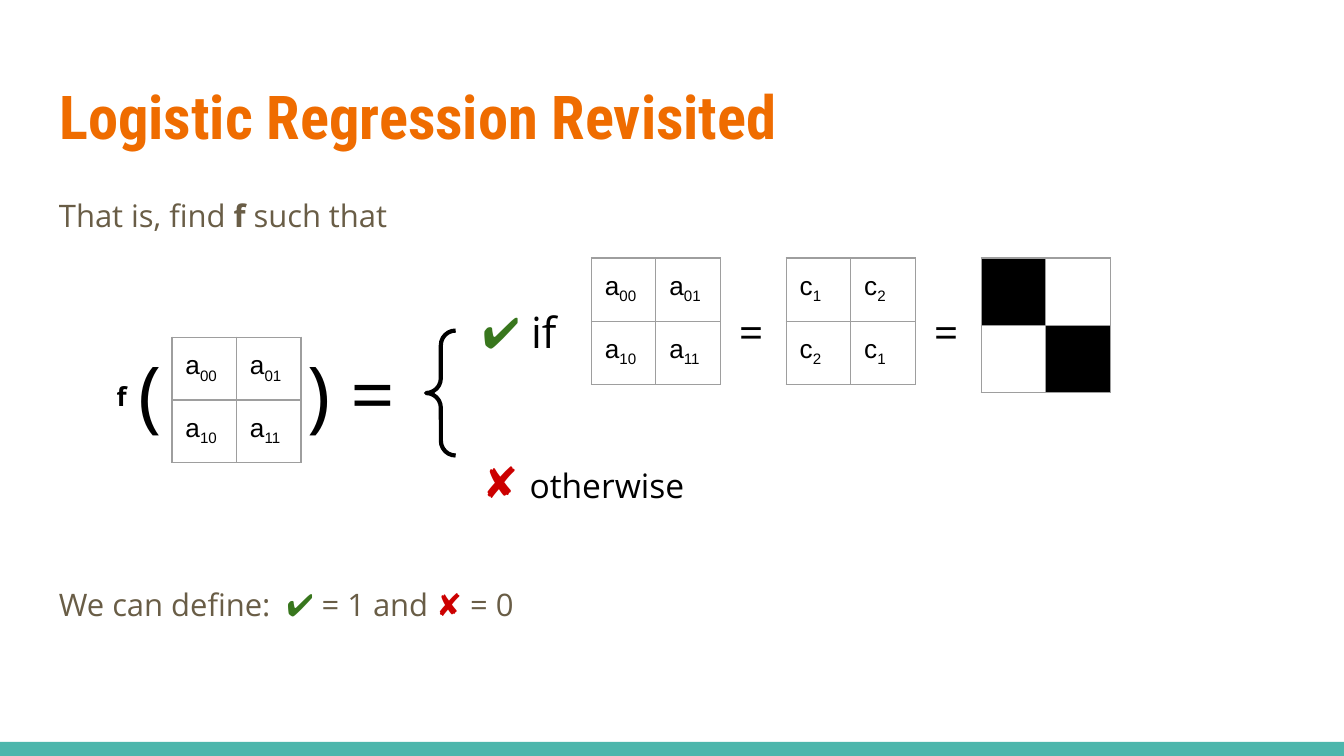
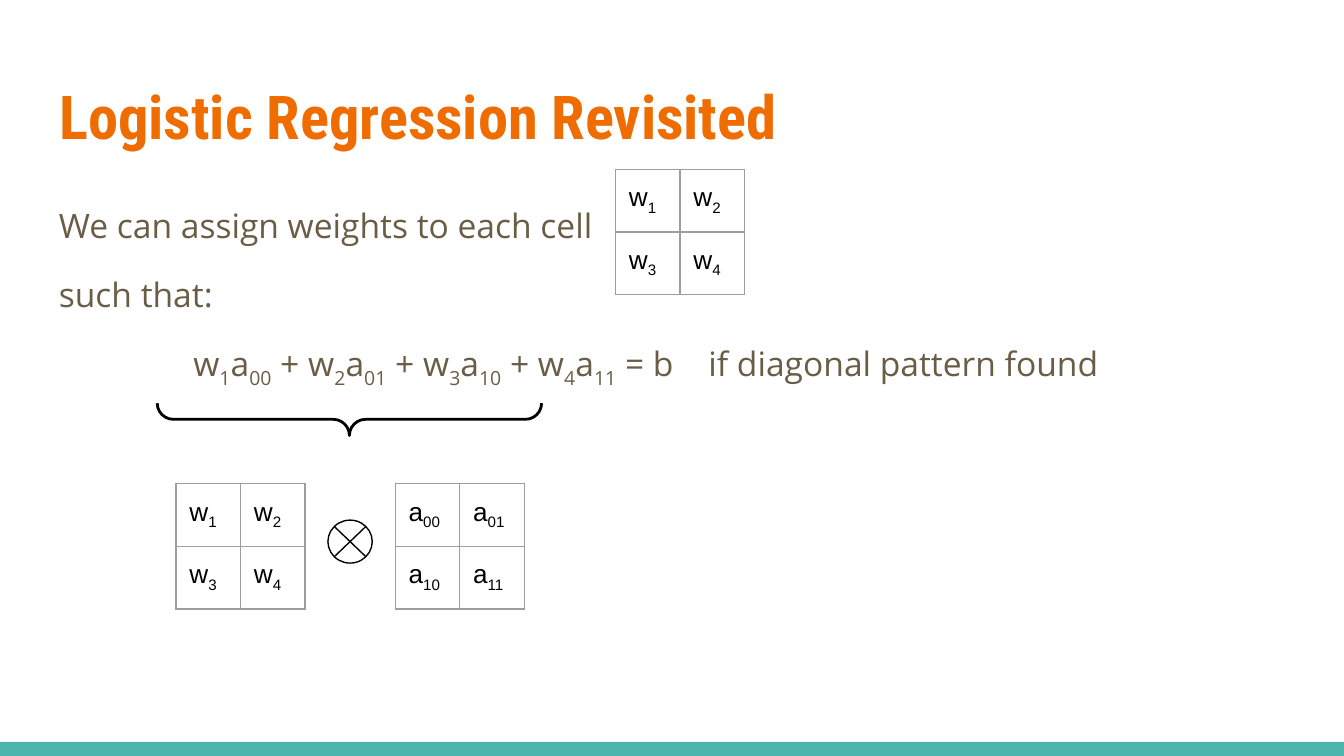
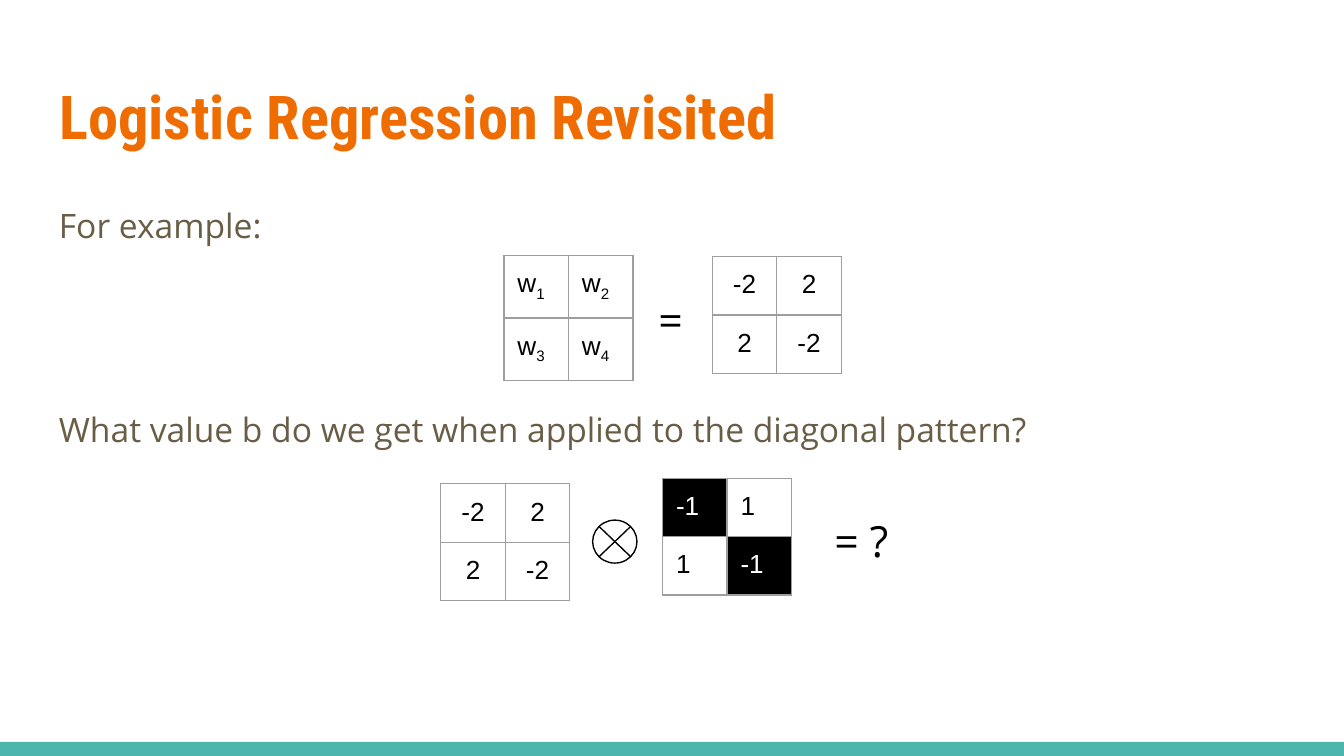
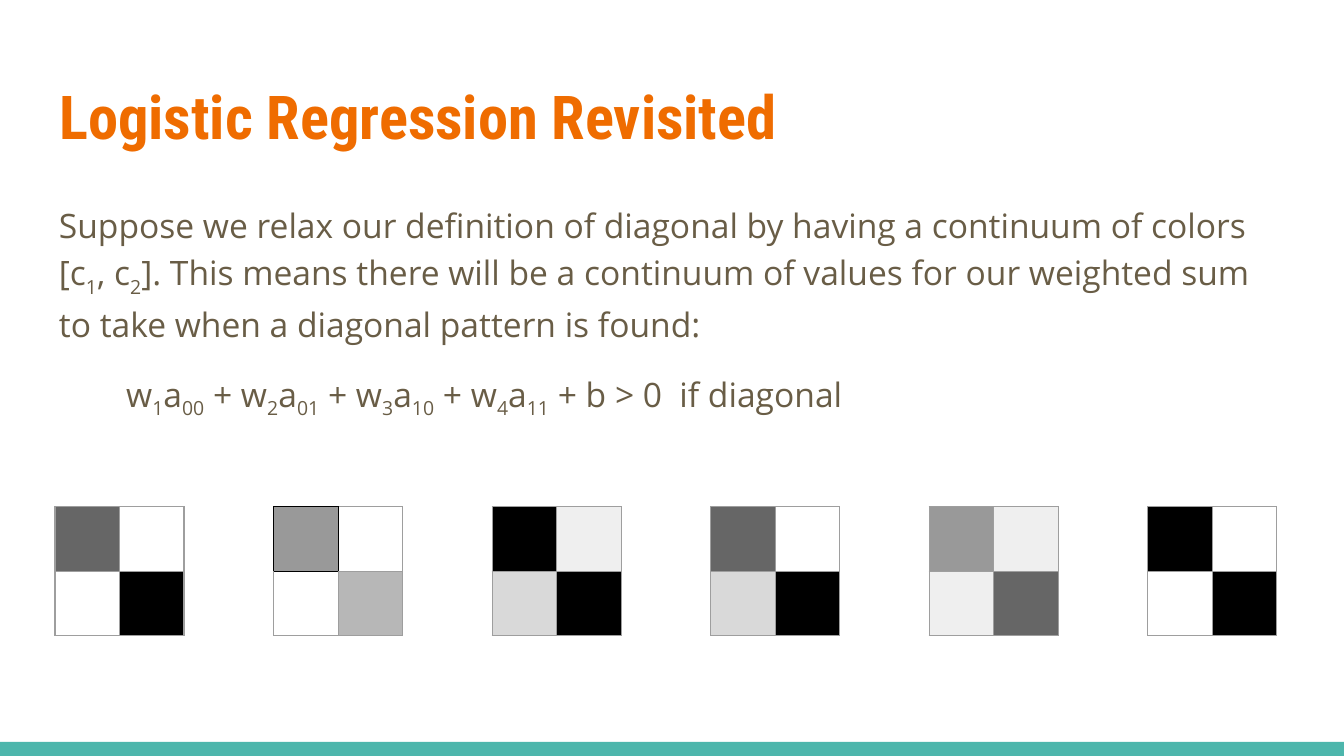
from dataclasses import dataclass

from lxml.etree import SubElement
from pptx import Presentation
from pptx.dml.color import RGBColor
from pptx.enum.shapes import MSO_CONNECTOR as Connector, MSO_SHAPE as Shape
from pptx.enum.text import MSO_ANCHOR as Anchor, MSO_AUTO_SIZE as AutoSize, PP_ALIGN as Align
from pptx.oxml.ns import qn
from pptx.util import Inches, Pt


@dataclass(frozen=True)
class Theme:
    orange: str = "EF6C00"
    teal: str = "4DB6AC"
    brown: str = "695D46"
    black: str = "000000"
    white: str = "FFFFFF"
    border: str = "9E9E9E"
    green: str = "38761D"
    red: str = "CC0000"
    heading: str = "Roboto Condensed"
    body: str = "Open Sans"
    table: str = "Arial"
    title_size: float = 32.4
    body_size: float = 18
    small_body_size: float = 16.6
    symbol_size: float = 23
    bracket_size: float = 42
    cell_size: float = 14


theme = Theme()


def write(frame, paragraphs):
    frame.word_wrap = True
    for side in ("left", "top", "right", "bottom"):
        setattr(frame, f"margin_{side}", Inches(0.1))
    for position, content in enumerate(paragraphs):
        paragraph = frame.add_paragraph() if position else frame.paragraphs[0]
        for name, value in content.get("format", {}).items():
            setattr(paragraph, name, value)
        if "indent" in content:
            properties = paragraph._p.get_or_add_pPr()
            properties.set("marL", "0")
            properties.set("indent", str(Inches(content["indent"])))
        for text, changes in content["runs"]:
            style = {**content["style"], **changes}
            for part, piece in enumerate(text.split("~")):
                if not piece:
                    continue
                run = paragraph.add_run()
                run.text = piece
                values = {"size": Pt(style["size"]), "name": style["font"], "bold": style.get("bold", False)}
                for name, value in values.items():
                    setattr(run.font, name, value)
                run.font.color.rgb = RGBColor.from_string(style["color"])
                run_properties = run._r.get_or_add_rPr()
                for script in ("a:ea", "a:cs"):
                    SubElement(run_properties, qn(script), typeface=style["font"])
                if part % 2:
                    run_properties.set("baseline", "-25000")
                if "spacing" in style:
                    run_properties.set("spc", str(style["spacing"]))
        if not paragraph.runs:
            SubElement(paragraph._p, qn("a:endParaRPr"), sz=str(theme.cell_size * 100))


def add_matrix(slide, left, top, texts=("",) * 4, fills=(None,) * 4,
               alignment=Align.LEFT, row_height=0.42, first_border=theme.border):
    frame = slide.shapes.add_table(2, 2, Inches(left), Inches(top), Inches(0.96), Inches(2 * row_height))
    table = frame.table
    table.first_row = table.horz_banding = False
    for index, (text, fill) in enumerate(zip(texts, fills)):
        row, column = divmod(index, 2)
        table.rows[row].height = Inches(row_height)
        table.columns[column].width = Inches(0.48)
        cell = table.cell(row, column)
        color = theme.white if fill == theme.black else theme.black
        style = {"size": theme.cell_size, "font": theme.table, "color": color}
        write(cell.text_frame, [{"runs": [(text, {})], "style": style, "format": {"alignment": alignment}}])
        for side in ("left", "top", "right", "bottom"):
            setattr(cell, f"margin_{side}", Inches(0.1))
        if fill:
            cell.fill.solid()
            cell.fill.fore_color.rgb = RGBColor.from_string(fill)
        else:
            cell.fill.background()
        properties = cell._tc.get_or_add_tcPr()
        for order, side in enumerate("LRTB"):
            line = SubElement(properties, qn(f"a:ln{side}"), w=str(Pt(0.75)))
            touches_first = index == 0 or (index, side) in ((1, "L"), (2, "T"))
            paint = SubElement(line, qn("a:solidFill"))
            SubElement(paint, qn("a:srgbClr"), val=first_border if touches_first else theme.border)
            properties.insert(order, line)
    frame.width = frame.height = Inches(3.28)


body = {"size": theme.body_size, "font": theme.body, "color": theme.brown}
small_body = {**body, "size": theme.small_body_size}
symbol = {"size": theme.symbol_size, "font": theme.body, "color": theme.black}
bracket = {**symbol, "size": theme.bracket_size}
function_name = {**symbol, "size": theme.cell_size, "bold": True}
green, red = {"color": theme.green}, {"color": theme.red}
bold = {"bold": True}
wide_space = (" ", {"spacing": 450})
widest_space = (" ", {"spacing": 1400})

loose = {"line_spacing": 1.15}
closing = {**loose, "space_after": Pt(12)}
following = {**loose, "space_before": Pt(12)}
last = {**following, "space_after": Pt(12)}
tight = {"line_spacing": 0.95, "space_after": Pt(12)}

equals = [{"runs": [("=", {})], "style": symbol, "format": loose}]
weighted_sum = "w~1~a~00~ + w~2~a~01~ + w~3~a~10~ + w~4~a~11~"
inputs = ("a~00~", "a~01~", "a~10~", "a~11~")
weights = ("w~1~", "w~2~", "w~3~", "w~4~")
example = {"texts": ("-2", "2", "2", "-2"), "alignment": Align.CENTER}
diagonal = (theme.black, None, None, theme.black)

shades = [
    ("666666", None, None, theme.black),
    ("999999", None, None, "B7B7B7"),
    (theme.black, "EFEFEF", "D9D9D9", theme.black),
    ("666666", None, "D9D9D9", theme.black),
    ("999999", "EFEFEF", "EFEFEF", "666666"),
    diagonal,
]
shade_step = (8.54 - 0.41) / (len(shades) - 1)
shade_matrices = [
    {"left": 0.41 + shade_step * index, "top": 3.77, "fills": fills, "row_height": 0.48,
     "first_border": theme.black if index == 1 else theme.border}
    for index, fills in enumerate(shades)
]

slides = [
    {
        "texts": [
            (0.34, 1.38, 9.32, 0.47, [{"runs": [("That is, find ", {}), ("f", bold), (" such that", {})],
                                       "style": small_body, "format": tight}]),
            (0.77, 2.73, 0.3, 0.44, [{"runs": [("f", {})], "style": function_name}]),
            (0.93, 2.47, 0.22, 0.91, [{"runs": [("(", {})], "style": bracket}]),
            (2.19, 2.47, 1.03, 0.91, [{"runs": [(") =", {})], "style": bracket}]),
            (3.49, 2.12, 0.85, 0.47, [{"runs": [("✔ ", {**green, **bold}), ("if", {})],
                                       "style": symbol, "format": loose}]),
            (3.49, 3.23, 2.16, 0.47, [{"runs": [("✘ ", {**red, **bold}),
                                                ("otherwise", {"size": theme.body_size})],
                                       "style": symbol, "format": loose}]),
            (5.4, 2.12, 0.4, 0.47, equals),
            (6.85, 2.12, 0.4, 0.47, equals),
            (0.34, 4.28, 3.83, 0.47, [{"runs": [("We can define:", {}), wide_space, ("✔", green),
                                                (" = 1 and ", {}), ("✘", red), (" = 0", {})],
                                       "style": small_body, "format": tight}]),
        ],
        "matrices": [
            {"left": 1.28, "top": 2.51, "texts": inputs},
            {"left": 4.4, "top": 1.92, "texts": inputs, "row_height": 0.47},
            {"left": 5.85, "top": 1.92, "texts": ("c~1~", "c~2~", "c~2~", "c~1~"), "row_height": 0.47},
            {"left": 7.3, "top": 1.92, "fills": diagonal, "row_height": 0.5},
        ],
        "braces": [(3.17, 2.46, 0.22, 0.93, 0, 2.25)],
    },
    {
        "texts": [
            (0.34, 1.38, 8.53, 1.78, [
                {"runs": [("We can assign weights to each cell", {})], "style": body, "format": loose},
                {"runs": [("such that:", {})], "style": body, "format": following},
                {"runs": [(weighted_sum + " = b", {}), widest_space, ("if diagonal pattern found", {})],
                 "style": body, "format": last, "indent": 1},
            ]),
        ],
        "matrices": [
            {"left": 4.58, "top": 1.26, "texts": weights},
            {"left": 2.94, "top": 3.6, "texts": inputs},
            {"left": 1.31, "top": 3.6, "texts": weights},
        ],
        "products": [2.44],
        "braces": [(2.48, 1.69, 0.24, 2.86, 270, 1.5)],
    },
    {
        "texts": [
            (0.34, 1.38, 9.32, 0.57, [{"runs": [("For example:", {})], "style": body, "format": closing}]),
            (4.8, 2.03, 0.4, 0.47, equals),
            (0.34, 2.9, 7.45, 0.57, [
                {"runs": [("What value b do we get when applied to the diagonal pattern?", {})],
                 "style": body, "format": closing},
            ]),
            (6.11, 3.67, 0.7, 0.47, [{"runs": [("= ?", {})], "style": symbol, "format": loose}]),
        ],
        "matrices": [
            {"left": 3.75, "top": 1.9, "texts": weights},
            {"left": 5.3, "top": 1.91, **example},
            {"left": 4.93, "top": 3.56, "texts": ("-1", "1", "1", "-1"), "fills": diagonal},
            {"left": 3.28, "top": 3.6, **example},
        ],
        "products": [4.41],
    },
    {
        "texts": [
            (0.34, 1.38, 9.32, 1.88, [
                {"runs": [("Suppose we relax our definition of diagonal by having a continuum of colors "
                           "[c~1~, c~2~]. This means there will be a continuum of values for our weighted "
                           "sum to take when a diagonal pattern is found:", {})],
                 "style": body, "format": loose},
                {"runs": [(weighted_sum + " + b > 0", {}), wide_space, ("if diagonal", {})],
                 "style": body, "format": last, "indent": 0.5},
            ]),
        ],
        "matrices": shade_matrices,
    },
]

presentation = Presentation()
presentation.slide_width = Inches(10)
presentation.slide_height = Inches(10) * 9 // 16
layout = presentation.slide_layouts[5]

for number, content in enumerate(slides):
    slide = presentation.slides.add_slide(layout)
    if number == 0:
        band = slide.shapes.add_shape(Shape.RECTANGLE, 0, Inches(5.52), Inches(10), Inches(0.11))
        band.shadow.inherit = False
        band.fill.solid()
        band.fill.fore_color.rgb = RGBColor.from_string(theme.teal)
        band.line.fill.background()
        layout.shapes.element.insert(2, band.element)

    title = slide.shapes.title
    for name, value in {"left": 0.34, "top": 0.49, "width": 9.32, "height": 0.77}.items():
        setattr(title, name, Inches(value))
    title.text_frame.auto_size = AutoSize.NONE
    title.text_frame.vertical_anchor = Anchor.TOP
    title_style = {"size": theme.title_size, "font": theme.heading, "color": theme.orange, "bold": True}
    write(title.text_frame, [{"runs": [("Logistic Regression Revisited", {})], "style": title_style,
                              "format": {"alignment": Align.LEFT}}])

    for *box, paragraphs in content["texts"]:
        text_box = slide.shapes.add_textbox(*map(Inches, box))
        write(text_box.text_frame, paragraphs)

    for matrix in content["matrices"]:
        add_matrix(slide, **matrix)

    for left in content.get("products", []):
        circle = slide.shapes.add_shape(Shape.OVAL, Inches(left), Inches(3.87), Inches(0.33), Inches(0.32))
        circle.shadow.inherit = False
        circle.fill.background()
        strokes = [circle]
        for start, end in ((4.14, 3.92), (3.92, 4.14)):
            stroke = slide.shapes.add_connector(Connector.STRAIGHT, Inches(left + 0.05), Inches(start),
                                                Inches(left + 0.28), Inches(end))
            SubElement(stroke.element.spPr, qn("a:effectLst"))
            strokes.append(stroke)
        for stroke in strokes:
            stroke.line.color.rgb = RGBColor.from_string(theme.black)
            stroke.line.width = Pt(0.75)

    for *box, rotation, weight in content.get("braces", []):
        brace = slide.shapes.add_shape(Shape.LEFT_BRACE, *map(Inches, box))
        brace.shadow.inherit = False
        brace.rotation = rotation
        brace.adjustments[0] = brace.adjustments[1] = 0.5
        brace.fill.background()
        brace.line.color.rgb = RGBColor.from_string(theme.black)
        brace.line.width = Pt(weight)

presentation.save("out.pptx")
